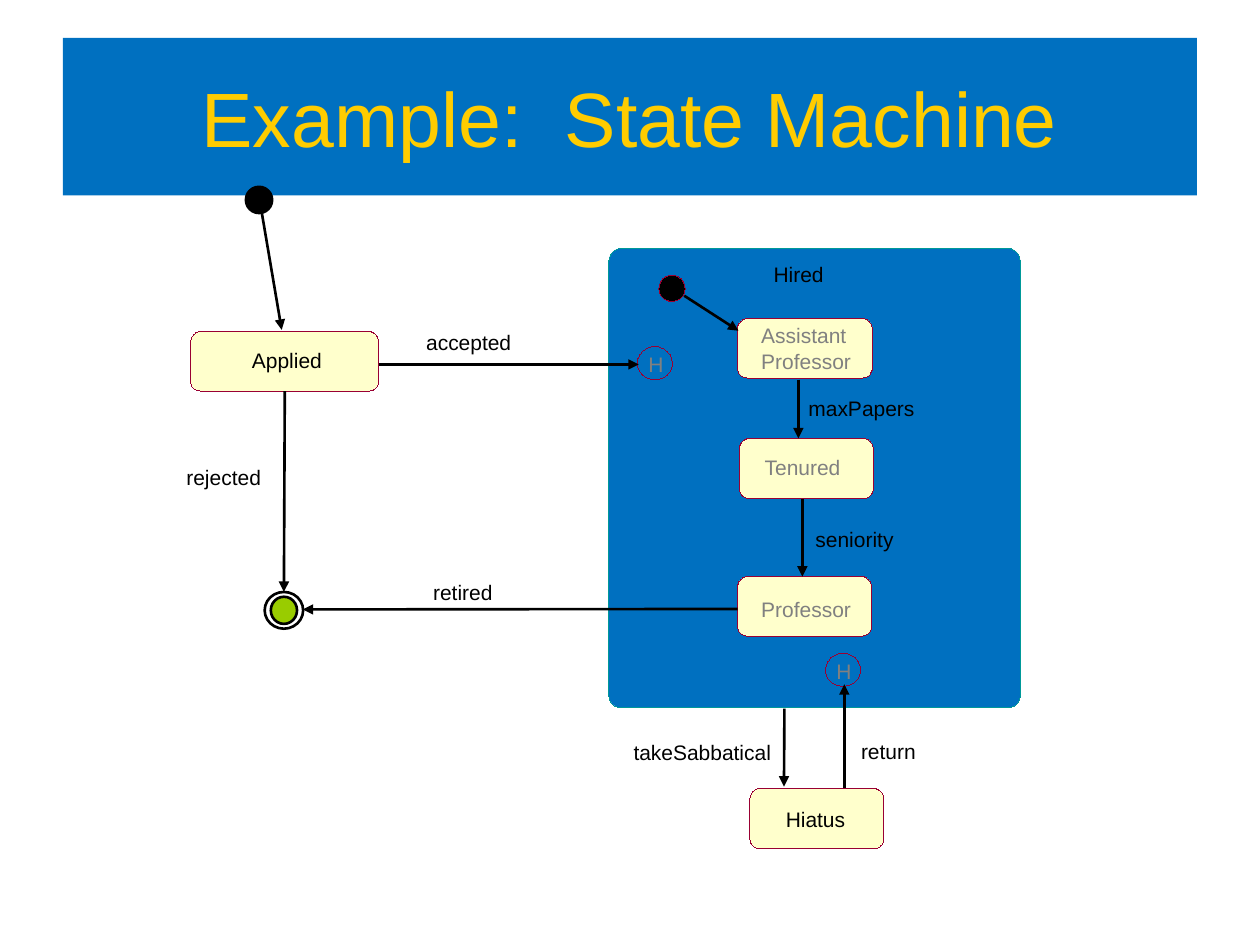
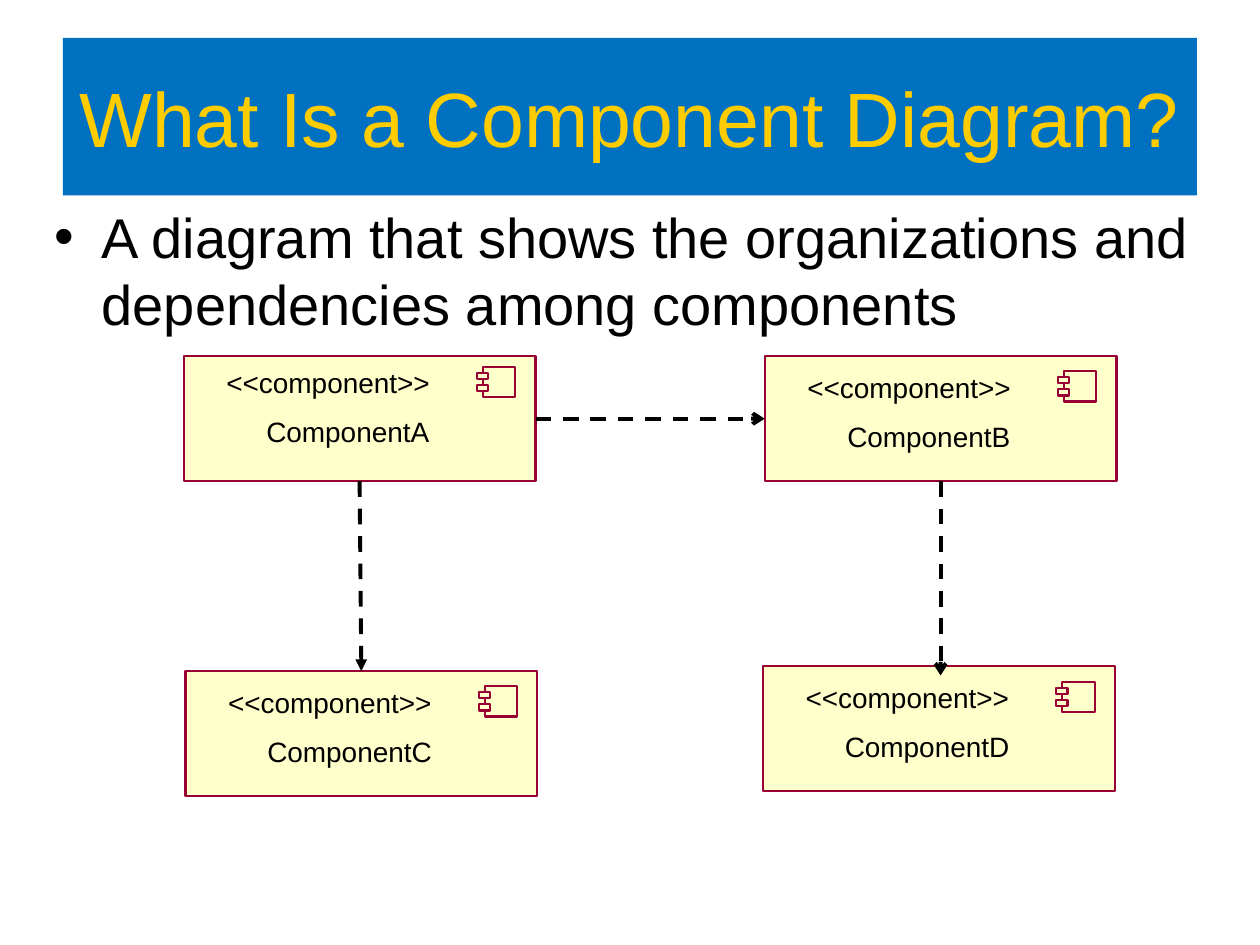
import dataclasses
import typing

import pptx
import pptx.dml.color
import pptx.enum.dml
import pptx.enum.shapes
import pptx.enum.text
import pptx.oxml
import pptx.oxml.ns
import pptx.shapes.autoshape
import pptx.shapes.connector
import pptx.slide
import pptx.text.text
import pptx.util

Pt = pptx.util.Pt
Preset = pptx.enum.shapes.MSO_SHAPE
Align = pptx.enum.text.PP_ALIGN
Shape = pptx.shapes.autoshape.Shape
Slide = pptx.slide.Slide

FONT = "Arial"
BLUE, GOLD, BLACK, GRAY = "0070C0", "FFCC00", "000000", "808080"
CREAM, MAROON, TEAL, GREEN = "FFFFCC", "990033", "009999", "99CC00"
TOP, LEFT, BOTTOM, RIGHT = range(4)
HAIRLINE = 0


class Frame(typing.NamedTuple):
    left: float
    top: float
    width: float
    height: float


class Point(typing.NamedTuple):
    x: float
    y: float


class Joint(typing.NamedTuple):
    shape: Shape
    side: int


End = Point | Joint


@dataclasses.dataclass(frozen=True)
class State:
    name: str
    frame: Frame
    label: Frame
    color: str = GRAY


@dataclasses.dataclass(frozen=True)
class Component:
    name: str
    left: float
    top: float
    content_top: float = 8


STATES = [
    State("Assistant\nProfessor", Frame(421.5, 182, 77, 34), Frame(435, 184.5, 52, 29)),
    State("Tenured", Frame(422.5, 250.5, 76.5, 34.5), Frame(437, 260, 45, 14.5)),
    State("Professor", Frame(421.5, 329.5, 76.5, 34), Frame(435, 341, 52, 14.5)),
    State("Applied", Frame(109, 189.5, 107.5, 34), Frame(144, 198.5, 41, 14.5), BLACK),
    State("Hiatus", Frame(428.5, 450.5, 76.5, 34.5), Frame(449, 461, 34.5, 14.5), BLACK),
]

EVENT_LABELS = [
    ("Hired", Frame(442, 149.5, 29, 14.5)),
    ("rejected", Frame(106.5, 265.5, 43.5, 14.5)),
    ("accepted", Frame(243.5, 188.5, 49, 14.5)),
    ("takeSabbatical", Frame(362, 422.5, 79.5, 14.5)),
    ("retired", Frame(247.5, 331, 34.5, 14.5)),
    ("maxPapers", Frame(462, 226, 61.5, 14.5)),
    ("seniority", Frame(466, 301, 45.5, 14.5)),
    ("return", Frame(492, 422, 32, 14.5)),
]

COMPONENTS = [
    Component("ComponentA", 105, 203.5, content_top=5.5),
    Component("ComponentB", 437, 203.5),
    Component("ComponentC", 106, 383.5),
    Component("ComponentD", 436, 380.5, content_top=8.5),
]


def rgb(color: str) -> pptx.dml.color.RGBColor:
    return pptx.dml.color.RGBColor.from_string(color)


def in_points(values: typing.Iterable[float]) -> list[pptx.util.Length]:
    return [Pt(value) for value in values]


def format_text(text_frame: pptx.text.text.TextFrame, size: float, color: str,
                alignment: Align = Align.LEFT) -> None:
    for paragraph in text_frame.paragraphs:
        paragraph.alignment = alignment
        for run in paragraph.runs:
            run.font.name = FONT
            run.font.size = Pt(size)
            run.font.color.rgb = rgb(color)


def add_box(slide: Slide, preset: Preset, frame: Frame, fill: str | None = None,
            line: str | None = None, line_width: float = HAIRLINE,
            corner: float | None = None) -> Shape:
    """Add a preset shape; no fill or line colour leaves that part empty."""
    shape = slide.shapes.add_shape(preset, *in_points(frame))
    shape.shadow.inherit = False
    if corner is not None:
        shape.adjustments[0] = corner
    if fill:
        shape.fill.solid()
        shape.fill.fore_color.rgb = rgb(fill)
    else:
        shape.fill.background()
    if line:
        shape.line.color.rgb = rgb(line)
        # The width property drops a zero, so the attribute is set directly.
        shape.element.spPr.find(pptx.oxml.ns.qn("a:ln")).set("w", str(Pt(line_width)))
    else:
        shape.line.fill.background()
    return shape


def add_label(slide: Slide, text: str, frame: Frame, size: float = 12,
              color: str = BLACK, alignment: Align = Align.LEFT) -> None:
    text_frame = slide.shapes.add_textbox(*in_points(frame)).text_frame
    text_frame.margin_left = text_frame.margin_right = 0
    text_frame.margin_top = text_frame.margin_bottom = 0
    text_frame.word_wrap = False
    text_frame.auto_size = pptx.enum.text.MSO_AUTO_SIZE.SHAPE_TO_FIT_TEXT
    text_frame.text = text
    format_text(text_frame, size, color, alignment)


def add_arrow(slide: Slide, begin: End, end: End, width: float = 1.5,
              dashed: bool = False, head: str = "triangle") -> None:
    """Draw an arrow between points, or joined to the sides of shapes."""
    start, finish = [item if isinstance(item, Point) else Point(0, 0) for item in (begin, end)]
    connector = slide.shapes.add_connector(
        pptx.enum.shapes.MSO_CONNECTOR.STRAIGHT, *in_points((*start, *finish)))
    if isinstance(begin, Joint):
        connector.begin_connect(begin.shape, begin.side)
    if isinstance(end, Joint):
        connector.end_connect(end.shape, end.side)
    connector.line.color.rgb = rgb(BLACK)
    connector.line.width = Pt(width)
    if dashed:
        connector.line.dash_style = pptx.enum.dml.MSO_LINE.DASH
    properties = connector.element.spPr
    outline = properties.find(pptx.oxml.ns.qn("a:ln"))
    namespace = pptx.oxml.ns.nsdecls("a")
    outline.append(pptx.oxml.parse_xml(f'<a:tailEnd {namespace} type="{head}"/>'))
    properties.append(pptx.oxml.parse_xml(f"<a:effectLst {namespace}/>"))


def add_titled_slide(presentation: pptx.presentation.Presentation, title: str) -> Slide:
    slide = presentation.slides.add_slide(presentation.slide_layouts[6])
    band = add_box(slide, Preset.RECTANGLE, Frame(36, 21.6, 648, 90), BLUE)
    band.text_frame.word_wrap = True
    band.text_frame.vertical_anchor = pptx.enum.text.MSO_ANCHOR.MIDDLE
    band.text_frame.text = title
    format_text(band.text_frame, 44, GOLD, Align.CENTER)
    return slide


def add_state(slide: Slide, state: State) -> Shape:
    box = add_box(slide, Preset.ROUNDED_RECTANGLE, state.frame, CREAM, MAROON, corner=0.17)
    add_label(slide, state.name, state.label, color=state.color)
    return box


def add_history(slide: Slide, left: float, top: float) -> None:
    add_box(slide, Preset.OVAL, Frame(left, top, 20, 19), line=MAROON)
    add_label(slide, "H", Frame(left + 6.25, top + 3, 9, 14.5), color=GRAY)


def add_component(slide: Slide, component: Component) -> Shape:
    left, top = component.left, component.top + component.content_top

    def add_part(frame: Frame) -> Shape:
        return add_box(slide, Preset.RECTANGLE, frame, CREAM, MAROON, 1.25)

    box = add_part(Frame(left, component.top, 201, 71.5))
    add_label(slide, "<<component>>", Frame(left + 24, top, 117, 19.5),
              size=16, alignment=Align.CENTER)
    add_label(slide, component.name, Frame(left + 46.5, top + 28, 94.5, 19.5),
              size=16, alignment=Align.CENTER)
    add_part(Frame(left + 171, top + 0.5, 18.5, 17.5))
    for tab_top in (4, 11):
        add_part(Frame(left + 167.5, top + tab_top, 6.5, 3.5))
    return box


def build_state_machine(presentation: pptx.presentation.Presentation) -> None:
    slide = add_titled_slide(presentation, "Example:  State Machine")
    add_box(slide, Preset.OVAL, Frame(140.5, 106.75, 15, 15), BLACK, BLACK, 1.5)
    add_box(slide, Preset.ROUNDED_RECTANGLE, Frame(348, 142, 235, 262.5), BLUE, TEAL,
            corner=0.03)
    boxes = {state.name: add_state(slide, state) for state in STATES}
    applied = boxes["Applied"]

    final_ring = add_box(slide, Preset.OVAL, Frame(151.25, 338.25, 22, 21),
                         line=BLACK, line_width=1.5)
    add_box(slide, Preset.OVAL, Frame(154.75, 341, 15, 15.5), GREEN, BLACK, 1.5)
    add_box(slide, Preset.OVAL, Frame(376.5, 157.25, 15, 15), BLACK, MAROON)
    add_history(slide, 364.25, 198)
    add_history(slide, 471.75, 373.25)
    for text, frame in EVENT_LABELS:
        add_label(slide, text, frame)

    transitions: list[tuple[End, End]] = [
        (Point(149.5, 121), Point(161, 188.5)),
        (Joint(applied, BOTTOM), Joint(final_ring, TOP)),
        (Point(216.5, 208.25), Point(365, 208.25)),
        (Point(391, 169), Point(422, 189)),
        (Point(456.25, 217), Point(456.25, 250.5)),
        (Point(458.5, 285), Point(458.5, 329.5)),
        (Point(421.5, 348), Point(173, 348.25)),
        (Point(482.5, 450.5), Point(482.5, 391)),
        (Point(448.25, 405), Point(448, 449.5)),
    ]
    for begin, end in transitions:
        add_arrow(slide, begin, end)


def add_definition(slide: Slide, text: str) -> None:
    text_frame = slide.shapes.add_textbox(*in_points((24, 112, 668, 117))).text_frame
    text_frame.word_wrap = True
    text_frame.text = text
    format_text(text_frame, 32, BLACK)
    paragraph = text_frame.paragraphs[0]
    paragraph.space_before = Pt(8)
    properties = paragraph._p.get_or_add_pPr()
    properties.set("marL", str(Pt(27)))
    properties.set("indent", str(Pt(-27)))
    namespace = pptx.oxml.ns.nsdecls("a")
    for bullet_part in (f'<a:buFont {namespace} typeface="{FONT}"/>',
                        f'<a:buChar {namespace} char="•"/>'):
        properties.append(pptx.oxml.parse_xml(bullet_part))


def build_component_diagram(presentation: pptx.presentation.Presentation) -> None:
    slide = add_titled_slide(presentation, "What Is a Component Diagram?")
    add_definition(
        slide, "A diagram that shows the organizations and dependencies among components")
    box_a, box_b, box_c, box_d = [add_component(slide, component) for component in COMPONENTS]
    dependencies: list[tuple[End, End, str]] = [
        (Joint(box_a, RIGHT), Joint(box_b, LEFT), "arrow"),
        (Joint(box_a, BOTTOM), Joint(box_c, TOP), "triangle"),
        (Joint(box_b, BOTTOM), Point(537.5, 386), "arrow"),
    ]
    for begin, end, head in dependencies:
        add_arrow(slide, begin, end, width=2.25, dashed=True, head=head)


def main() -> None:
    presentation = pptx.Presentation()
    presentation.slide_width, presentation.slide_height = Pt(720), Pt(540)
    build_state_machine(presentation)
    build_component_diagram(presentation)
    presentation.save("out.pptx")


if __name__ == "__main__":
    main()
